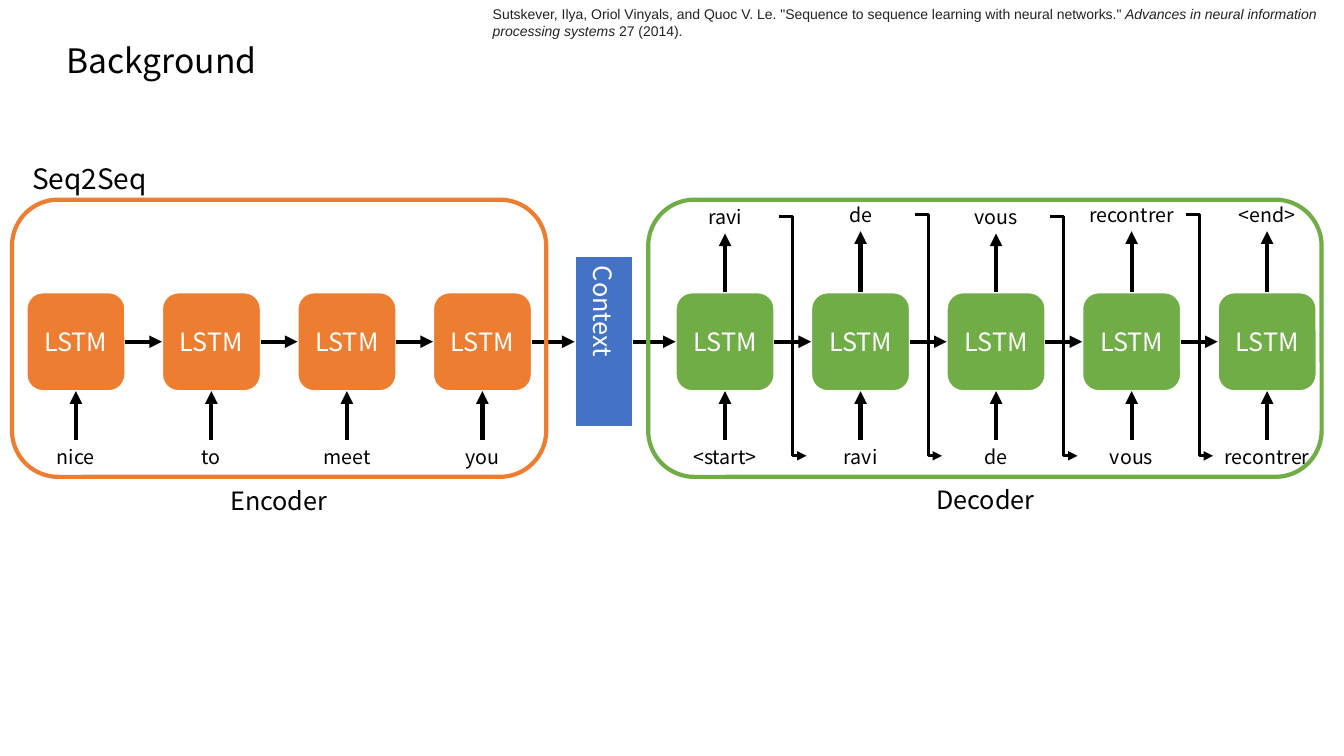
from dataclasses import dataclass
from itertools import pairwise

from lxml import etree
from pptx import Presentation
from pptx import util as u
from pptx.dml.color import RGBColor
from pptx.enum import shapes, text
from pptx.oxml.ns import qn


@dataclass(frozen=True)
class Theme:
    """Colours, fonts and type sizes of the slide."""
    ink: str = "000000"
    paper: str = "FFFFFF"
    grey: str = "222222"
    orange: str = "ED7D31"
    green: str = "70AD47"
    blue: str = "4472C4"
    face: str = "Noto Sans CJK KR"
    serif: str = "Arial"
    title: int = 24
    head: int = 20
    body: int = 18
    word: int = 14
    cite: int = 10


class Board:
    """Draws styled elements on one slide, in points."""

    def __init__(self, slide, theme):
        """Keep the slide's shapes and the theme."""
        self.shapes = slide.shapes
        self.theme = theme

    def style(self, para, size, color, face=None, center=True):
        """Set font and alignment of a paragraph."""
        para.alignment = text.PP_ALIGN.CENTER if center else text.PP_ALIGN.LEFT
        para.font.size = u.Pt(size)
        para.font.name = face or self.theme.face
        para.font.color.rgb = RGBColor.from_string(color)

    def label(self, box, parts, size, color=None, face=None, center=True, top=False):
        """Add a text box of (words, italic) parts."""
        frame = self.shapes.add_textbox(*map(u.Pt, box)).text_frame
        frame.word_wrap = True
        frame.auto_size = text.MSO_AUTO_SIZE.SHAPE_TO_FIT_TEXT
        frame.vertical_anchor = text.MSO_ANCHOR.TOP if top else text.MSO_ANCHOR.MIDDLE
        para = frame.paragraphs[0]
        for words, slant in parts:
            run = para.add_run()
            run.text = words
            if slant:
                run.font.italic = True
        self.style(para, size, color or self.theme.ink, face, center)

    def shape(self, kind, box, fill, line, width):
        """Add a preset shape, hollow when fill is None."""
        item = self.shapes.add_shape(kind, *map(u.Pt, box))
        item.shadow.inherit = False
        if fill:
            item.fill.solid()
            item.fill.fore_color.rgb = RGBColor.from_string(fill)
        else:
            item.fill.background()
        item.line.color.rgb = RGBColor.from_string(line)
        item.line.width = u.Pt(width)
        return item

    def block(self, kind, box, fill, words, turn=False):
        """Add a filled shape with white text, optionally vertical."""
        frame = self.shape(kind, box, fill, self.theme.paper, 1.5).text_frame
        frame.vertical_anchor = text.MSO_ANCHOR.MIDDLE
        para = frame.paragraphs[0]
        para.text = words
        self.style(para, self.theme.body, self.theme.paper)
        if turn:
            frame._txBody.bodyPr.set("vert", "eaVert")

    def frame(self, box, color):
        """Add a hollow rounded outline."""
        self.shape(shapes.MSO_SHAPE.ROUNDED_RECTANGLE, box, None, color, 3)

    def arrow(self, start, end, width=3, bent=False):
        """Add a straight or elbow arrow between two points."""
        kind = shapes.MSO_CONNECTOR.ELBOW if bent else shapes.MSO_CONNECTOR.STRAIGHT
        link = self.shapes.add_connector(kind, *map(u.Pt, (*start, *end)))
        link.line.color.rgb = RGBColor.from_string(self.theme.ink)
        link.line.width = u.Pt(width)
        etree.SubElement(link.line._get_or_add_ln(), qn("a:tailEnd"), type="triangle")
        etree.SubElement(link._element.spPr, qn("a:effectLst"))


def main():
    """Build the slide and save it."""
    deck = Presentation()
    deck.slide_width, deck.slide_height = u.Pt(960), u.Pt(540)
    look = Theme()
    board = Board(deck.slides.add_slide(deck.slide_layouts[6]), look)

    step, side, top = 96.8, 70.6, 208.8
    wide, high, low = 77.2, 24.2, 314
    mid = top + side / 2
    inset = (wide - side) / 2
    outs = [("ravi", 142.6), ("de", 141), ("vous", 142.6), ("recontrer", 141), ("<end>", 141)]
    nets = [
        (18.9, look.orange, ["nice", "to", "meet", "you"], []),
        (482.6, look.green, ["<start>", "ravi", "de", "vous", "recontrer"], outs),
    ]

    board.label((40.3, 25.2, 282, 36), [("Background", False)], look.title, center=False)
    board.block(shapes.MSO_SHAPE.RECTANGLE, (410.4, 182.9, 42.1, 122.4), look.blue, "Context", True)
    spans = [(410.4, 452.5)]
    for left, color, ins, tops in nets:
        for i, word in enumerate(ins):
            x = left + i * step
            board.block(shapes.MSO_SHAPE.ROUNDED_RECTANGLE, (x, top, side, side), color, "LSTM")
            board.arrow((x + side / 2, low), (x + side / 2, top + side))
            board.label((x - inset, low, wide, high), [(word, False)], look.word)
            spans.append((x, x + side))
        for i, (word, y) in enumerate(tops):
            x = left + i * step
            board.arrow((x + side / 2, top), (x + side / 2, y + high))
            board.label((x - inset, y, wide, high), [(word, False)], look.word)
    for (_, start), (end, _) in pairwise(sorted(spans)):
        board.arrow((start, mid), (end, mid))

    board.label((15.8, 111.6, 140.4, 31.7), [("Seq2Seq", False)], look.head, center=False, top=True)
    board.frame((8.6, 142.6, 381.6, 198), look.orange)
    board.label((122.4, 341.3, 153.4, 32.4), [("Encoder", False)], look.body)
    board.frame((463, 142.6, 481, 198), look.green)
    board.label((607, 342.7, 193.7, 28.8), [("Decoder", False)], look.body)
    cite = [
        ('Sutskever, Ilya, Oriol Vinyals, and Quoc V. Le. "Sequence to sequence learning with neural networks." ', False),
        ("Advances in neural information processing systems", True),
        (" 27 (2014).", False),
    ]
    board.label((344.9, 0, 614.2, 31.7), cite, look.cite, look.grey, look.serif, center=False)

    for i, (_, y) in enumerate(outs[:-1]):
        x = nets[1][0] + i * step - inset
        board.arrow((x + wide, y + high / 2), (x + step, low + high / 2 - 0.5), 2.25, True)
    deck.save("out.pptx")


if __name__ == "__main__":
    main()
